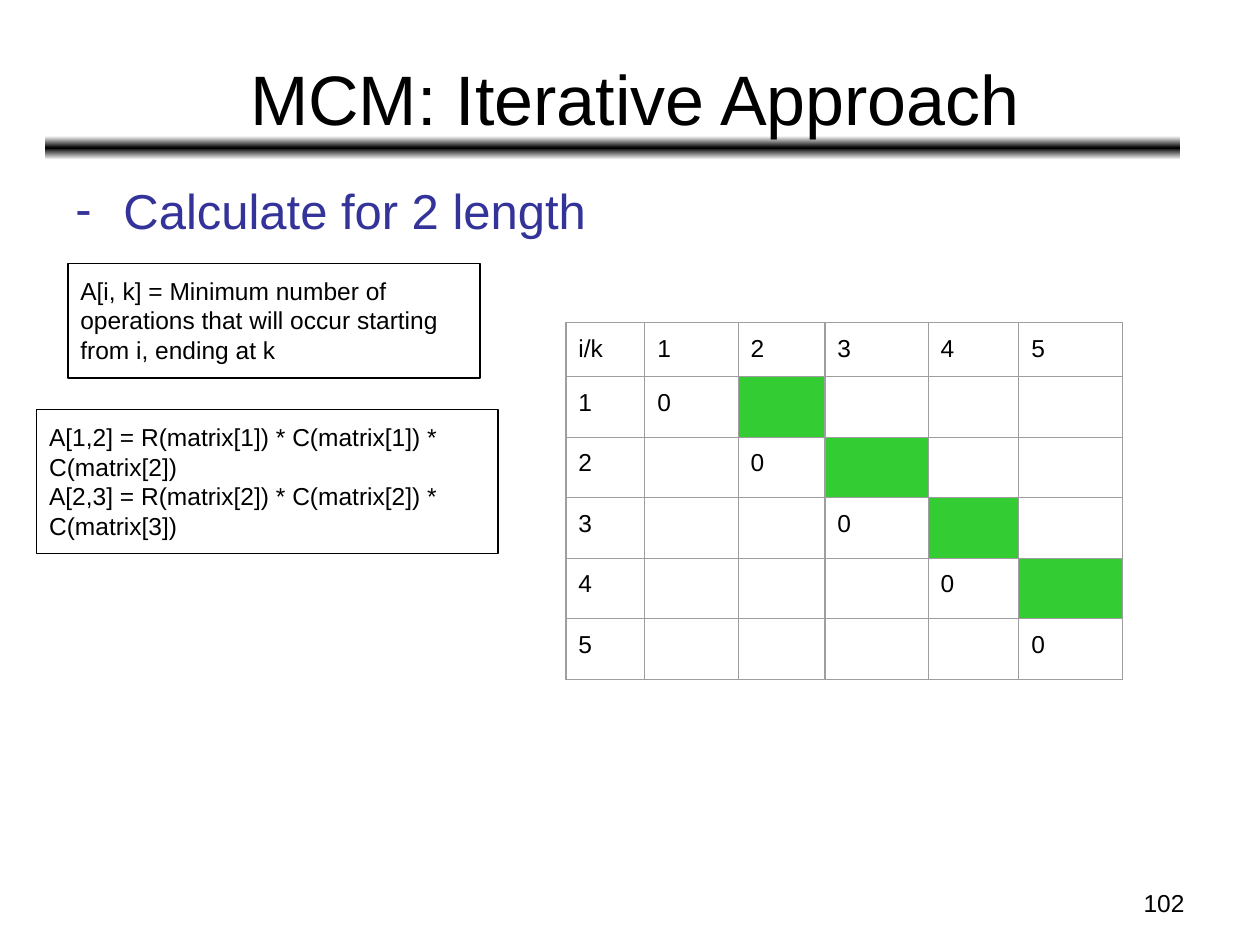
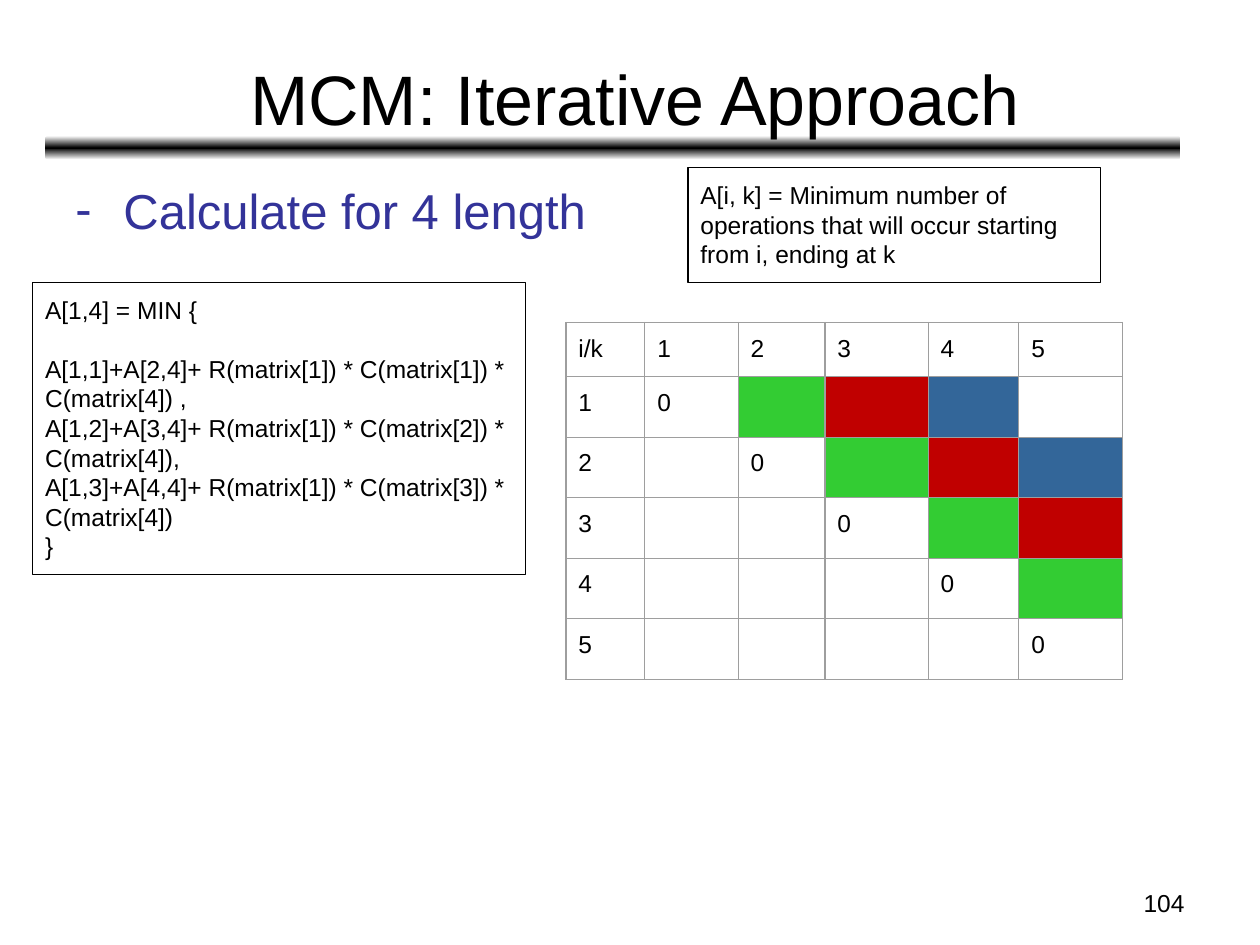
from copy import deepcopy
from dataclasses import dataclass

from lxml import etree
from pptx import Presentation
from pptx.dml.color import RGBColor
from pptx.enum.shapes import MSO_SHAPE
from pptx.enum.text import MSO_ANCHOR, MSO_AUTO_SIZE, PP_ALIGN
from pptx.oxml.ns import qn
from pptx.util import Cm, Pt

RECT = MSO_SHAPE.RECTANGLE
ROUND = MSO_SHAPE.ROUNDED_RECTANGLE
TOP, MIDDLE = MSO_ANCHOR.TOP, MSO_ANCHOR.MIDDLE
LEFT, CENTER, RIGHT = PP_ALIGN.LEFT, PP_ALIGN.CENTER, PP_ALIGN.RIGHT
NO_FIT = MSO_AUTO_SIZE.NONE
TITLE_ONLY = 5


@dataclass(frozen=True)
class Theme:
    font: str = "Arial"
    black: str = "000000"
    white: str = "FFFFFF"
    navy: str = "333399"
    gray: str = "9E9E9E"
    green: str = "33CC33"
    red: str = "C00000"
    blue: str = "336699"
    title: float = 40
    lead: float = 28
    text: float = 14
    pitch: float = 16.9
    line: float = 0.75


@dataclass(frozen=True)
class Place:
    left: float
    top: float
    width: float
    height: float

    def sides(self) -> tuple:
        return Cm(self.left), Cm(self.top), Cm(self.width), Cm(self.height)


@dataclass(frozen=True)
class Note:
    place: Place
    lines: tuple[str, ...]
    gap: int = -1


@dataclass(frozen=True)
class Page:
    number: str
    lead: str
    bands: tuple[str, ...]
    notes: tuple[Note, ...]


THEME = Theme()
TITLE = "MCM: Iterative Approach"
HEAD = Place(1.37, 0.71, 22.86, 2.51)
BAR = Place(0.91, 2.74, 22.89, 0.48)
BODY = Place(0.97, 3.51, 22.86, 13.97)
FOOT = Place(18.21, 17.78, 5.92, 0.89)
GRID = Place(11.41, 6.5, 11.21, 7.17)
COLS = (1.59, 1.88, 1.75, 2.08, 1.83, 2.08)
ROWS = (1.07,) + (1.22,) * 5
PAD = Cm(0.25)
RULE = ("A[i, k] = Minimum number of operations that will occur starting from i, ending at k",)

PAGES = (
    Page("102", "Calculate for 2 length", (THEME.green,), (
        Note(Place(1.37, 5.31, 8.31, 2.31), RULE),
        Note(Place(0.74, 8.26, 9.3, 2.9), (
            "A[1,2] = R(matrix[1]) * C(matrix[1]) * C(matrix[2])",
            "A[2,3] = R(matrix[2]) * C(matrix[2]) * C(matrix[3])",
        )),
    )),
    Page("104", "Calculate for 4 length", (THEME.green, THEME.red, THEME.blue), (
        Note(Place(13.87, 3.38, 8.31, 2.31), RULE),
        Note(Place(0.66, 5.69, 9.93, 5.89), (
            "A[1,4] = MIN {",
            "A[1,1]+A[2,4]+ R(matrix[1]) * C(matrix[1]) * C(matrix[4]) ,",
            "A[1,2]+A[3,4]+ R(matrix[1]) * C(matrix[2]) * C(matrix[4]),",
            "A[1,3]+A[4,4]+ R(matrix[1]) * C(matrix[3]) * C(matrix[4])",
            "}",
        ), gap=1),
    )),
)


def rgb(code: str) -> RGBColor:
    return RGBColor.from_string(code)


def write(para, text: str, size: float = THEME.text, color: str = THEME.black, align=LEFT) -> None:
    para.alignment = align
    run = para.add_run()
    run.text = text
    run.font.name = THEME.font
    run.font.size = Pt(size)
    run.font.color.rgb = rgb(color)


def pad(item) -> None:
    item.margin_left = item.margin_right = PAD
    item.margin_top = item.margin_bottom = PAD


def add_bar(slide) -> None:
    bar = slide.shapes.add_shape(ROUND, *BAR.sides())
    bar.shadow.inherit = False
    bar.line.fill.background()
    bar.fill.gradient()
    bar.fill.gradient_angle = 90
    stops = bar._element.spPr.find(".//" + qn("a:gsLst"))
    stops.append(deepcopy(stops[0]))
    shades = (THEME.white, THEME.black, THEME.white)
    for stop, spot, shade in zip(bar.fill.gradient_stops, (0, 0.5, 1), shades):
        stop.position = spot
        stop.color.rgb = rgb(shade)
    slide.shapes.title._element.addprevious(bar._element)


def add_title(slide) -> None:
    title = slide.shapes.title
    title.left, title.top, title.width, title.height = HEAD.sides()
    frame = title.text_frame
    frame.auto_size = NO_FIT
    frame.vertical_anchor = MIDDLE
    write(frame.paragraphs[0], TITLE, THEME.title, align=CENTER)


def add_box(slide, place: Place):
    frame = slide.shapes.add_textbox(*place.sides()).text_frame
    frame.word_wrap = True
    return frame.paragraphs[0]


def add_lead(slide, text: str) -> None:
    para = add_box(slide, BODY)
    props = para._p.get_or_add_pPr()
    props.set("marL", str(Cm(1.27)))
    props.set("indent", str(Cm(-0.97)))
    tint = etree.SubElement(props, qn("a:buClr"))
    etree.SubElement(tint, qn("a:srgbClr"), val=THEME.navy)
    etree.SubElement(props, qn("a:buFont"), typeface=THEME.font)
    etree.SubElement(props, qn("a:buChar"), char="-")
    write(para, text, THEME.lead, THEME.navy)


def add_note(slide, note: Note) -> None:
    box = slide.shapes.add_shape(RECT, *note.place.sides())
    box.shadow.inherit = False
    box.fill.background()
    box.line.color.rgb = rgb(THEME.black)
    box.line.width = Pt(THEME.line)
    frame = box.text_frame
    frame.word_wrap = True
    frame.vertical_anchor = TOP
    pad(frame)
    for index, line in enumerate(note.lines):
        para = frame.add_paragraph() if index else frame.paragraphs[0]
        para.line_spacing = Pt(THEME.pitch)
        if index == note.gap:
            para.space_before = Pt(THEME.pitch)
        write(para, line)


def edge(cell) -> None:
    props = cell._tc.get_or_add_tcPr()
    for index, side in enumerate("LRTB"):
        line = etree.Element(qn(f"a:ln{side}"), w=str(Pt(THEME.line)))
        fill = etree.SubElement(line, qn("a:solidFill"))
        etree.SubElement(fill, qn("a:srgbClr"), val=THEME.gray)
        props.insert(index, line)


def label(row: int, col: int) -> str:
    if row == col:
        return "0" if row else "i/k"
    return "" if row and col else str(row + col)


def add_grid(slide, bands: tuple[str, ...]) -> None:
    table = slide.shapes.add_table(len(ROWS), len(COLS), *GRID.sides()).table
    table.first_row = table.horz_banding = False
    for col, width in enumerate(COLS):
        table.columns[col].width = Cm(width)
    for row, height in enumerate(ROWS):
        table.rows[row].height = Cm(height)
        for col in range(len(COLS)):
            cell = table.cell(row, col)
            step = col - row
            if row and 1 <= step <= len(bands):
                cell.fill.solid()
                cell.fill.fore_color.rgb = rgb(bands[step - 1])
            else:
                cell.fill.background()
            edge(cell)
            text = label(row, col)
            if text:
                pad(cell)
                write(cell.text_frame.paragraphs[0], text)


def add_page(deck, page: Page) -> None:
    slide = deck.slides.add_slide(deck.slide_layouts[TITLE_ONLY])
    add_bar(slide)
    add_title(slide)
    add_lead(slide, page.lead)
    write(add_box(slide, FOOT), page.number, align=RIGHT)
    add_grid(slide, page.bands)
    for note in page.notes:
        add_note(slide, note)


def main() -> None:
    deck = Presentation()
    deck.slide_width, deck.slide_height = Cm(25.4), Cm(19.05)
    for page in PAGES:
        add_page(deck, page)
    deck.save("out.pptx")


if __name__ == "__main__":
    main()
